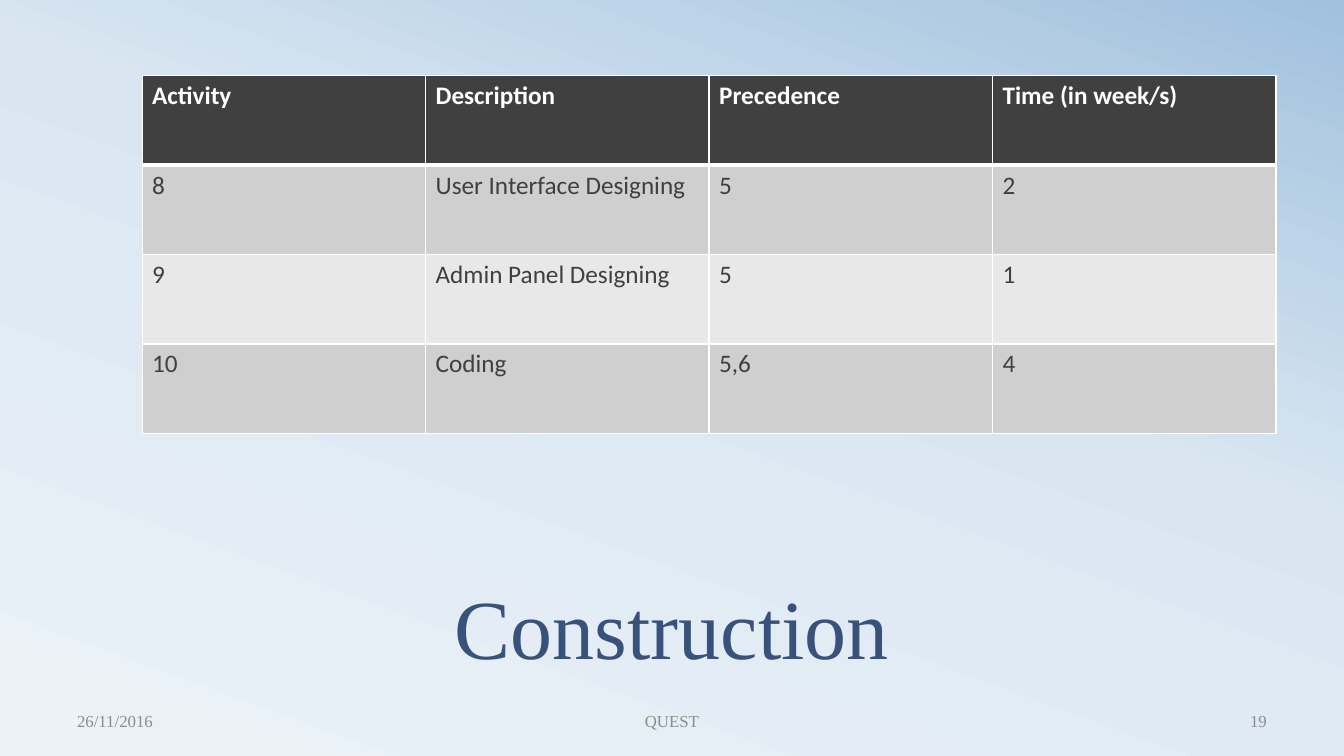
"""Build the Construction slide with its activity schedule table."""
from copy import deepcopy
from dataclasses import dataclass

from pptx import Presentation
from pptx.dml.color import RGBColor as Color
from pptx.enum.text import MSO_ANCHOR as Anchor, PP_ALIGN as Align
from pptx.oxml import parse_xml
from pptx.oxml.ns import nsdecls, qn
from pptx.util import Pt


@dataclass(frozen=True)
class Theme:
    """Colours, fonts and type sizes of the slide."""
    title: str = "39527B"
    footer: str = "8C8C8C"
    dark: str = "404040"
    light: str = "FFFFFF"
    bands: tuple = ("CFCFCF", "E8E8E8")
    backdrop: tuple = ((0, "ECF3F8"), (0.58, "D9E6F2"), (1, "A1C1DE"))
    backdrop_angle: int = 70
    serif: str = "Times New Roman"
    sans: str = "Calibri"
    title_size: int = 60
    table_size: int = 18
    footer_size: int = 12


THEME = Theme()
ACTIVITIES = [
    ("Activity", "Description", "Precedence", "Time (in week/s)"),
    ("8", "User Interface Designing", "5", "2"),
    ("9", "Admin Panel Designing", "5", "1"),
    ("10", "Coding", "5,6", "4"),
]
FOOTERS = [
    (48, 224, "26/11/2016", Align.LEFT),
    (328, 304, "QUEST", Align.CENTER),
    (688, 224, "19", Align.RIGHT),
]


def paint_background(page):
    """Fill the page with the theme's gradient."""
    fill = page.background.fill
    fill.gradient()
    fill.gradient_angle = THEME.backdrop_angle
    stops = page.element.find(".//" + qn("a:gsLst"))
    stops.append(deepcopy(stops[0]))
    for stop, (position, colour) in zip(fill.gradient_stops, THEME.backdrop):
        stop.position = position
        stop.color.rgb = Color.from_string(colour)


def style_text(para, font, size, colour, bold=False):
    """Format every run of a paragraph."""
    for span in para.runs:
        span.font.name = font
        span.font.size = Pt(size)
        span.font.bold = bold
        span.font.color.rgb = Color.from_string(colour)


def add_label(page, area, text, size, colour, align, anchor=Anchor.MIDDLE):
    """Add a wrapped serif text box and return its paragraph."""
    box = page.shapes.add_textbox(*map(Pt, area))
    frame = box.text_frame
    frame.word_wrap = True
    frame.vertical_anchor = anchor
    frame.text = text
    para = frame.paragraphs[0]
    para.alignment = align
    style_text(para, THEME.serif, size, colour)
    return para


def set_borders(cell, widths):
    """Draw the cell's borders, with widths given by side."""
    properties = cell._tc.get_or_add_tcPr()
    for index, (side, width) in enumerate(widths.items()):
        properties.insert(index, parse_xml(
            f'<a:ln{side} {nsdecls("a")} w="{Pt(width)}"><a:solidFill>'
            f'<a:srgbClr val="{THEME.light}"/></a:solidFill></a:ln{side}>'))


def add_schedule(page, area, rows):
    """Add the banded table with a dark header row."""
    table = page.shapes.add_table(len(rows), len(rows[0]), *map(Pt, area)).table
    for row_index, row in enumerate(rows):
        header = row_index == 0
        fill = THEME.dark if header else THEME.bands[(row_index - 1) % 2]
        colour = THEME.light if header else THEME.dark
        top, bottom = 3 if row_index == 1 else 1, 3 if header else 1
        for column, text in enumerate(row):
            cell = table.cell(row_index, column)
            cell.text = text
            style_text(cell.text_frame.paragraphs[0], THEME.sans,
                       THEME.table_size, colour, header)
            cell.fill.solid()
            cell.fill.fore_color.rgb = Color.from_string(fill)
            set_borders(cell, {"L": 1, "R": 1, "T": top, "B": bottom})


def main():
    """Build and save the deck."""
    deck = Presentation()
    deck.slide_width, deck.slide_height = Pt(960), Pt(540)
    page = deck.slides.add_slide(deck.slide_layouts[6])
    paint_background(page)
    title = add_label(page, (48, 402, 864, 84), "Construction",
                      THEME.title_size, THEME.title, Align.CENTER, Anchor.BOTTOM)
    title.line_spacing = 0.8
    add_schedule(page, (101.5, 54, 810, 255.6), ACTIVITIES)
    for left, width, text, align in FOOTERS:
        add_label(page, (left, 500.6, width, 28.8), text,
                  THEME.footer_size, THEME.footer, align)
    deck.save("out.pptx")


if __name__ == "__main__":
    main()
